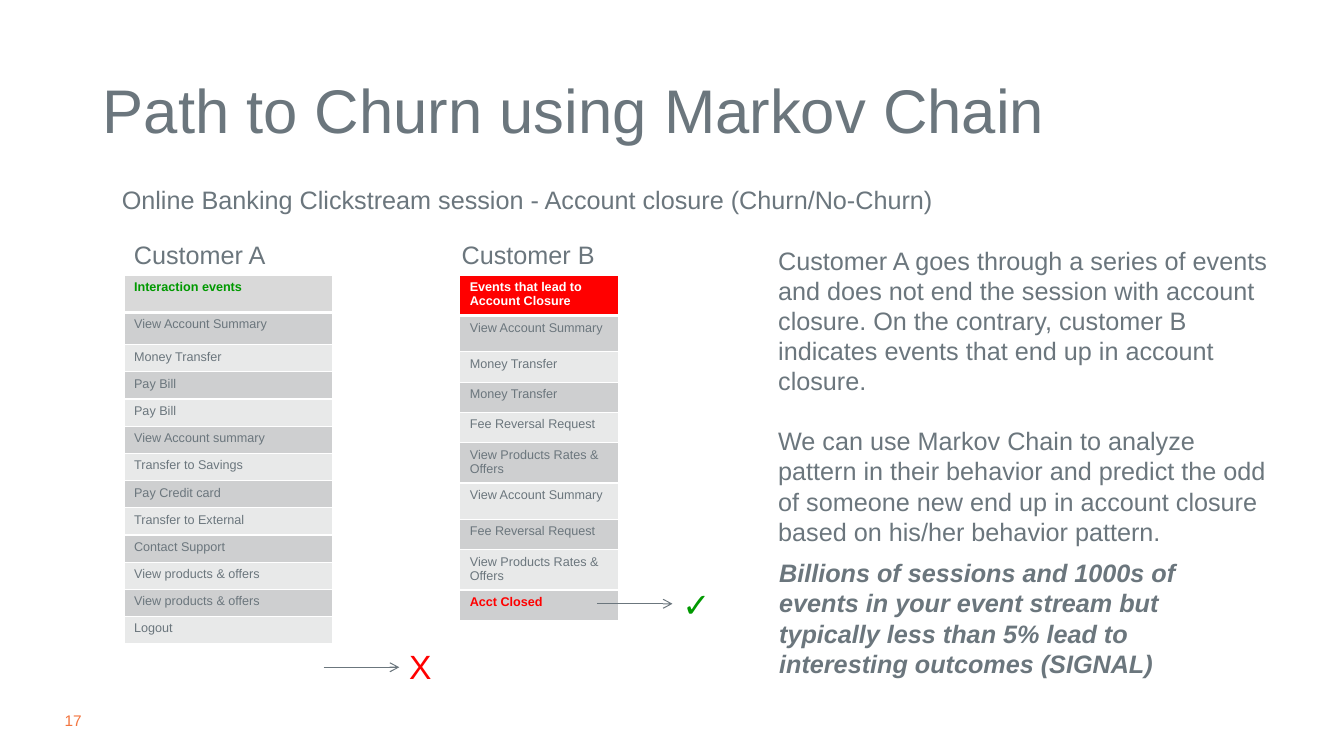
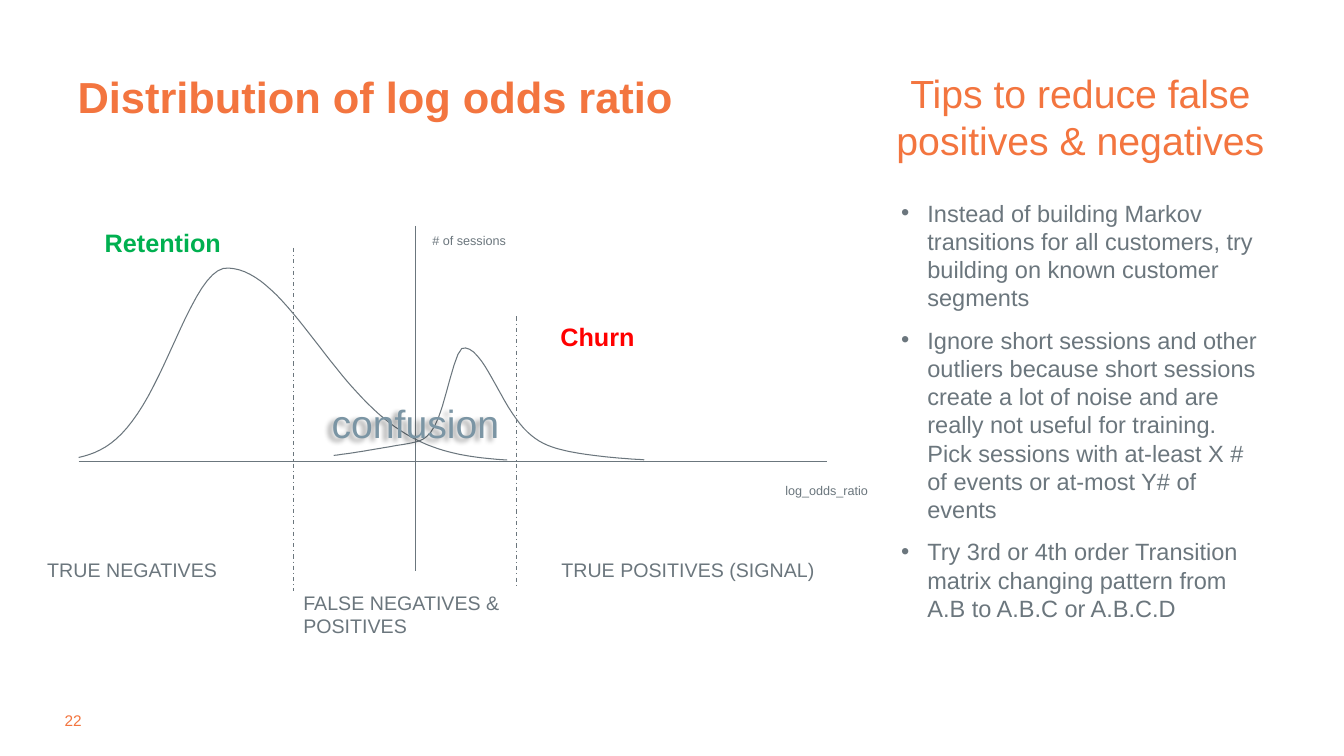
from math import exp

from lxml import etree
from pptx import Presentation
from pptx.dml.color import RGBColor as RGB
from pptx.enum.dml import MSO_LINE_DASH_STYLE as DASH
from pptx.enum.shapes import MSO_CONNECTOR as CONN
from pptx.enum.text import MSO_ANCHOR as ANCHOR, PP_ALIGN as ALIGN
from pptx.oxml.ns import qn
from pptx.util import Inches, Pt

FONT = "Arial"
COLORS = {
    "text": "6B767D", "accent": "F3753F", "white": "FFFFFF", "red": "FF0000",
    "green": "009900", "retention": "00B050", "confusion": "7B95A4",
    "head": "D9D9D9", "odd": "CECFD0", "even": "E8E9E9",
}
LINE_WIDTH = Pt(0.75)


def add_text(p, text, size, color="text", bold=False, italic=False):
    r = p.add_run()
    r.text = text
    f = r.font
    f.name, f.size, f.bold, f.italic = FONT, Pt(size), bold, italic
    f.color.rgb = RGB.from_string(COLORS[color])


def add_line(s, x1, y1, x2, y2, dash=None, arrow=False):
    c = s.shapes.add_connector(CONN.STRAIGHT, Inches(x1), Inches(y1), Inches(x2), Inches(y2))
    c.line.color.rgb = RGB.from_string(COLORS["text"])
    c.line.width = LINE_WIDTH
    if dash:
        c.line.dash_style = dash
    if arrow:
        etree.SubElement(c.line._get_or_add_ln(), qn("a:tailEnd"), type="arrow")
    etree.SubElement(c._element.spPr, qn("a:effectLst"))


prs = Presentation()
prs.slide_width, prs.slide_height = Inches(13.33), Inches(7.5)

# Slides with title and page number
titles = [
    ("Path to Churn using Markov Chain", (0.92, 0.4, 11.5, 1.45), ANCHOR.MIDDLE,
     dict(size=44), "17"),
    ("Distribution of log odds ratio", (0.67, 0.25, 12, 1.02), ANCHOR.BOTTOM,
     dict(size=31, color="accent", bold=True), "22"),
]
for title, box, anchor, style, number in titles:
    s = prs.slides.add_slide(prs.slide_layouts[5])
    sp = s.shapes.title
    sp.left, sp.top, sp.width, sp.height = map(Inches, box)
    sp.text_frame.vertical_anchor = anchor
    p = sp.text_frame.paragraphs[0]
    p.alignment, p.line_spacing = ALIGN.LEFT, 0.9
    add_text(p, title, **style)

    tf = s.shapes.add_textbox(Inches(0.64), Inches(7.05), Inches(0.19), Inches(0.19)).text_frame
    tf.margin_left = tf.margin_right = tf.margin_top = tf.margin_bottom = 0
    tf.word_wrap = False
    add_text(tf.paragraphs[0], number, 11, "accent")
churn, odds = prs.slides

# Event tables: the first event is the header, the rest are banded
events_a = ["Interaction events", "View Account Summary", "Money Transfer", "Pay Bill",
            "Pay Bill", "View Account summary", "Transfer to Savings", "Pay Credit card",
            "Transfer to External", "Contact Support", "View products & offers",
            "View products & offers", "Logout"]
events_b = ["Events that lead to Account Closure", "View Account Summary", "Money Transfer",
            "Money Transfer", "Fee Reversal Request", "View Products Rates & Offers",
            "View Account Summary", "Fee Reversal Request", "View Products Rates & Offers",
            "Acct Closed"]
heights_a = [0.37, 0.32] + [0.27] * 11
heights_b = [0.37, 0.36, 0.3, 0.3, 0.3, 0.36, 0.36, 0.3, 0.36, 0.3]
tables = [
    (1.23, 2.07, events_a, heights_a, "head", "green"),
    (4.56, 1.58, events_b, heights_b, "red", "white"),
]
for x, width, events, heights, head_fill, head_color in tables:
    table = churn.shapes.add_table(len(events), 1, Inches(x), Inches(2.73), Inches(width),
                                   Inches(sum(heights))).table
    for i, (event, height) in enumerate(zip(events, heights)):
        table.rows[i].height = Inches(height)
        cell = table.cell(i, 0)
        tcPr = cell._tc.get_or_add_tcPr()
        for side in "LRTB":
            under_header = (i, side) in [(0, "B"), (1, "T")]
            ln = etree.SubElement(tcPr, qn("a:ln" + side), w=str(Pt(3 if under_header else 1)))
            fill = etree.SubElement(ln, qn("a:solidFill"))
            etree.SubElement(fill, qn("a:srgbClr"), val=COLORS["white"])

        if i == 0:
            fill_name, style = head_fill, dict(color=head_color, bold=True)
        else:
            fill_name, style = "odd" if i % 2 else "even", {}
        if event == "Acct Closed":
            style = dict(color="red", bold=True)
        cell.fill.solid()
        cell.fill.fore_color.rgb = RGB.from_string(COLORS[fill_name])
        add_text(cell.text_frame.paragraphs[0], event, 9, **style)

# Outcome arrows
for x, y in [(3.21, 6.62), (5.92, 5.99)]:
    add_line(churn, x, y, x + 0.75, y, arrow=True)

# Axes and thresholds
axis_x, axis_y = 4.12, 4.58
add_line(odds, axis_x, 2.24, axis_x, 5.66)
add_line(odds, 0.78, axis_y, 8.2, axis_y)
for x, top, bottom in [(2.91, 2.46, 5.86), (5.12, 3.14, 5.83)]:
    add_line(odds, x, top, x, bottom, DASH.DASH_DOT)

# Distribution curves: a bell with its own spread on each side of the peak,
# of which a share may be a wider bell that forms the foot
STEPS = 80
UNITS = 1000  # freeform units per inch
FOOT_SPREAD = 0.8
curves = [
    dict(start=0.78, end=5.03, peak=2.25, height=1.92, left=0.53, right=0.9, foot=0),
    dict(start=3.31, end=6.39, peak=4.6, height=1.13, left=0.15, right=0.32, foot=0.2),
]
for curve in curves:
    points = []
    for i in range(STEPS + 1):
        x = curve["start"] + (curve["end"] - curve["start"]) * i / STEPS
        distance = x - curve["peak"]
        spread = curve["left"] if distance < 0 else curve["right"]
        bell = exp(-(distance / spread) ** 2 / 2)
        foot = exp(-(distance / FOOT_SPREAD) ** 2 / 2)
        level = (1 - curve["foot"]) * bell + curve["foot"] * foot
        points.append((x * UNITS, (axis_y - curve["height"] * level) * UNITS))
    builder = odds.shapes.build_freeform(*points[0], scale=Inches(1) / UNITS)
    builder.add_line_segments(points[1:], close=False)
    sp = builder.convert_to_shape()
    sp.fill.background()
    sp.line.color.rgb = RGB.from_string(COLORS["text"])
    sp.line.width = LINE_WIDTH
    sp.shadow.inherit = False

# Labels on one line
small, caption, heading = dict(size=9), dict(size=14), dict(size=18)
labels = [
    (churn, (3.96, 6.36, 0.43, 0.5), "X", dict(size=24, color="red")),
    (churn, (6.67, 5.74, 0.54, 0.5), "✓", dict(size=24, color="green")),
    (churn, (1.11, 1.78, 11.8, 0.4),
     "Online Banking Clickstream session - Account closure (Churn/No-Churn)", heading),
    (churn, (1.23, 2.33, 1.66, 0.4), "Customer A", heading),
    (churn, (4.48, 2.33, 1.66, 0.4), "Customer B", heading),
    (odds, (7.69, 4.74, 1.03, 0.25), "log_odds_ratio", small),
    (odds, (4.19, 2.26, 0.94, 0.25), "# of sessions", small),
    (odds, (0.94, 2.21, 1.37, 0.4), "Retention", dict(size=18, color="retention", bold=True)),
    (odds, (5.46, 3.14, 0.95, 0.4), "Churn", dict(size=18, color="red", bold=True)),
    (odds, (5.47, 5.49, 2.73, 0.34), "TRUE POSITIVES (SIGNAL)", caption),
    (odds, (0.37, 5.49, 1.9, 0.34), "TRUE NEGATIVES", caption),
    (odds, (3.19, 3.91, 1.89, 0.57), "confusion", dict(size=28, color="confusion")),
]
for s, box, text, style in labels:
    sp = s.shapes.add_textbox(*map(Inches, box))
    sp.text_frame.word_wrap = s is churn and box[2] > 1
    add_text(sp.text_frame.paragraphs[0], text, **style)

# Shadow behind the last label, "confusion"
effects = etree.SubElement(sp._element.spPr, qn("a:effectLst"))
shadow = etree.SubElement(effects, qn("a:outerShdw"), blurRad=str(Pt(4)), dist=str(Pt(4)),
                          dir="9000000", algn="tr", rotWithShape="0")
black = etree.SubElement(shadow, qn("a:prstClr"), val="black")
etree.SubElement(black, qn("a:alpha"), val="40000")

# Wrapped texts: slide, box, run style, paragraph format, paragraphs
texts = [
    (churn, (7.62, 2.38, 5.14, 3.83), heading, dict(gap=21),
     ["Customer A goes through a series of events and does not end the session with account "
      "closure. On the contrary, customer B indicates events that end up in account closure.",
      "We can use Markov Chain to analyze pattern in their behavior and predict the odd of "
      "someone new end up in account closure based on his/her behavior pattern."]),
    (churn, (7.63, 5.48, 4.8, 1.01), dict(size=18, bold=True, italic=True), {},
     ["Billions of sessions and 1000s of events in your event stream but typically less than "
      "5% lead to interesting outcomes (SIGNAL)"]),
    (odds, (8.71, 0.64, 4.01, 1.04), dict(size=28, color="accent"), dict(align=ALIGN.CENTER),
     ["Tips to reduce false positives & negatives"]),
    (odds, (8.84, 1.92, 3.8, 4.88), dict(size=16.8), dict(gap=10, bullet="•"),
     ["Instead of building Markov transitions for all customers, try building on known "
      "customer segments",
      "Ignore short sessions and other outliers because short sessions create a lot of noise "
      "and are really not useful for training. Pick sessions with at-least X # of events or "
      "at-most Y# of events",
      "Try 3rd or 4th order Transition matrix changing pattern from A.B to A.B.C or A.B.C.D"]),
    (odds, (2.91, 5.81, 2.16, 0.57), caption, {}, ["FALSE NEGATIVES &", "POSITIVES"]),
]
for s, box, style, layout, paragraphs in texts:
    tf = s.shapes.add_textbox(*map(Inches, box)).text_frame
    tf.word_wrap = True
    for i, text in enumerate(paragraphs):
        p = tf.add_paragraph() if i else tf.paragraphs[0]
        p.alignment = layout.get("align", ALIGN.LEFT)
        p.space_before = Pt(layout.get("gap", 0) if i else 0)
        add_text(p, text, **style)
        if "bullet" in layout:
            pPr = p._p.get_or_add_pPr()
            pPr.set("marL", str(Inches(0.26)))
            pPr.set("indent", str(Inches(-0.26)))
            etree.SubElement(pPr, qn("a:buFont"), typeface=FONT)
            etree.SubElement(pPr, qn("a:buChar"), char=layout["bullet"])

prs.save("out.pptx")
